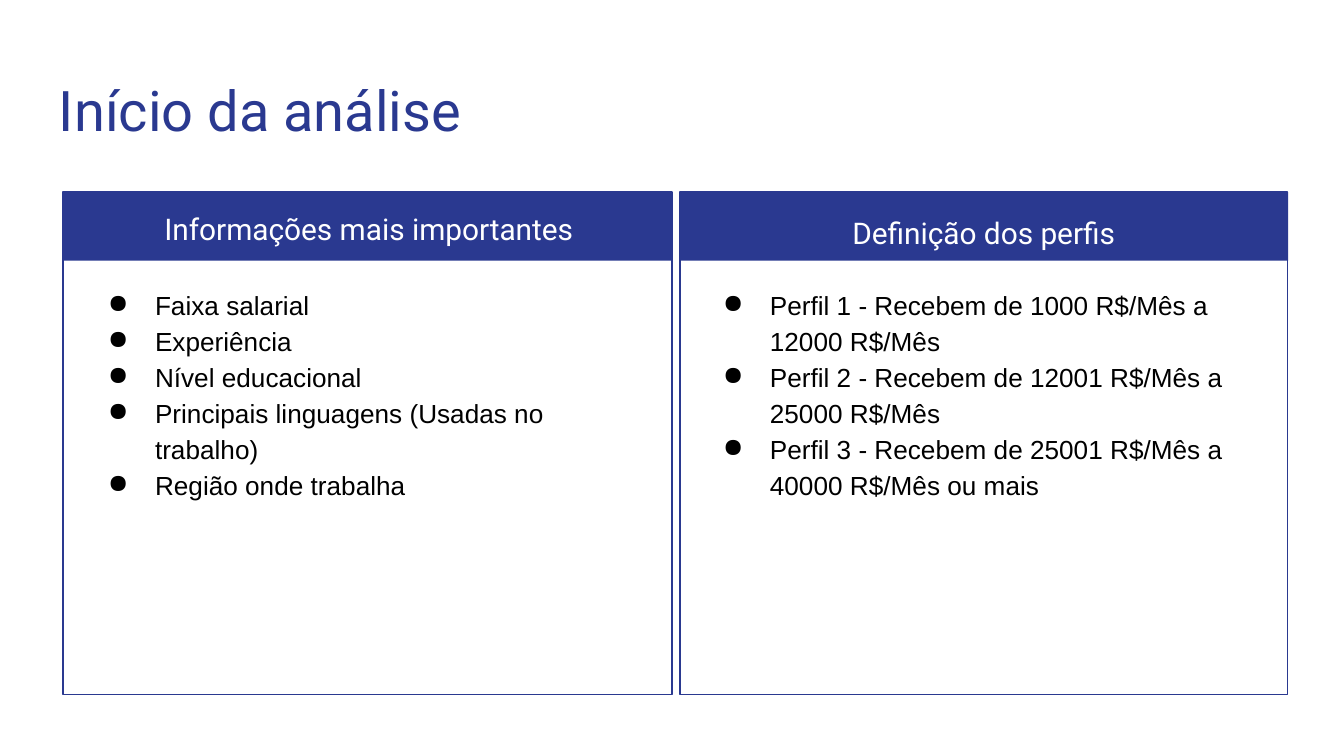
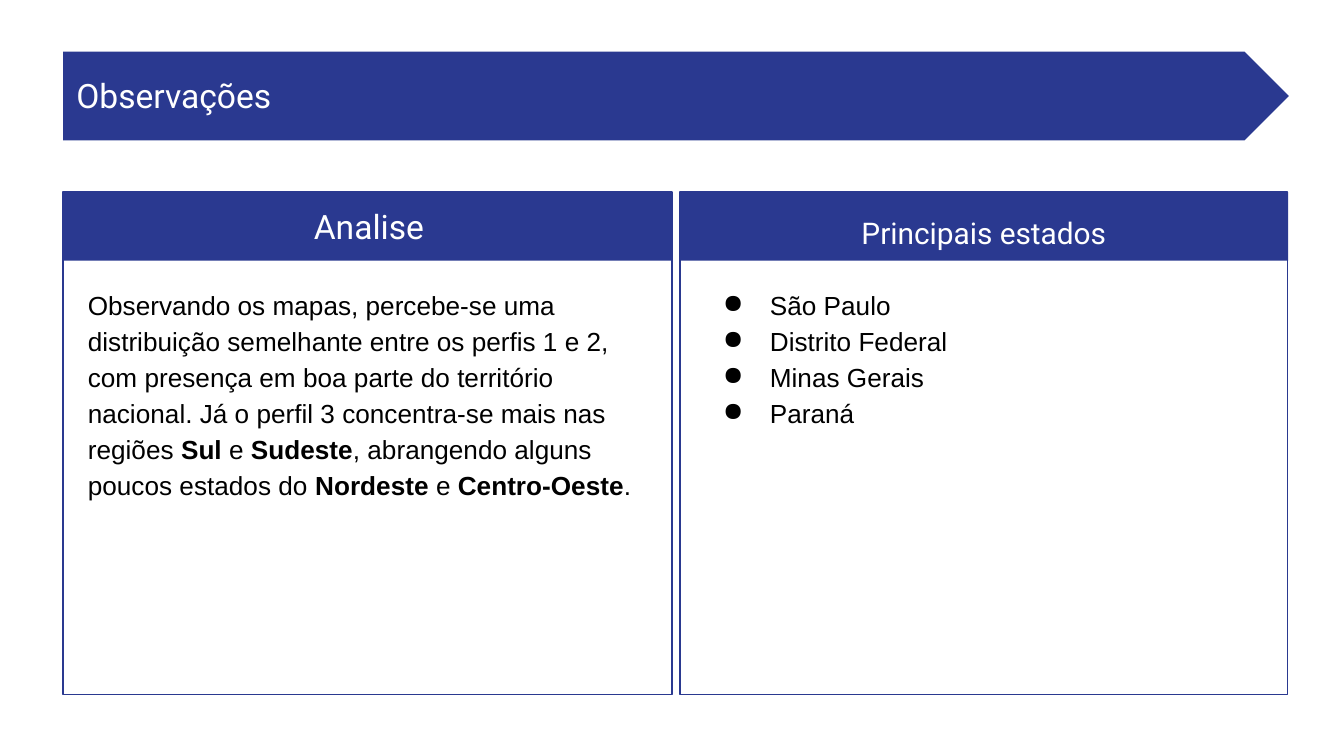
import pptx
import pptx.util
import pptx.dml.color
import pptx.enum.shapes
import pptx.enum.text
import pptx.oxml.ns
from lxml import etree

HUE = {"blue": "2A3990", "white": "FFFFFF", "black": "000000"}
KIND = pptx.enum.shapes.MSO_SHAPE
ALIGN = pptx.enum.text.PP_ALIGN
ANCHOR = pptx.enum.text.MSO_ANCHOR

deck = pptx.Presentation()
deck.slide_width = pptx.util.Inches(10)
deck.slide_height = pptx.util.Inches(5.625)
CELL = deck.slide_width / 100  # grid of 100 columns by 56.25 square rows


def block(page, kind, area, fill=None, line=None):
    """Draw a preset shape on the grid area (column, row, width, height)."""
    shape = page.shapes.add_shape(kind, *[round(n * CELL) for n in area])
    shape.shadow.inherit = False
    if fill:
        shape.fill.solid()
        shape.fill.fore_color.rgb = pptx.dml.color.RGBColor.from_string(HUE[fill])
    else:
        shape.fill.background()
    if line:
        shape.line.color.rgb = pptx.dml.color.RGBColor.from_string(HUE[line])
        shape.line.width = pptx.util.Pt(0.75)
    else:
        shape.line.fill.background()


def write(page, area, lines, size=14, face="Arial", hue="black", align=ALIGN.LEFT,
          anchor=ANCHOR.TOP, space=1.15, list=False):
    """Set one paragraph per line; words between ** marks are bold."""
    frame = page.shapes.add_textbox(*[round(n * CELL) for n in area]).text_frame
    frame.word_wrap = True
    frame.vertical_anchor = anchor
    frame.margin_left = frame.margin_right = round(CELL)
    frame.margin_top = frame.margin_bottom = round(CELL)
    for i, line in enumerate(lines):
        para = frame.add_paragraph() if i else frame.paragraphs[0]
        para.alignment = align
        para.line_spacing = space
        if list:
            props = para._p.get_or_add_pPr()
            props.set("marL", str(round(5 * CELL)))
            props.set("indent", str(round(-3.5 * CELL)))
            tint = etree.SubElement(props, pptx.oxml.ns.qn("a:buClr"))
            etree.SubElement(tint, pptx.oxml.ns.qn("a:srgbClr"), val=HUE["black"])
            etree.SubElement(props, pptx.oxml.ns.qn("a:buChar"), char="●")
        for j, part in enumerate(line.split("**")):
            run = para.add_run()
            run.text = part
            run.font.size = pptx.util.Pt(size)
            run.font.name = face
            run.font.bold = j % 2 == 1
            run.font.color.rgb = pptx.dml.color.RGBColor.from_string(HUE[hue])


# Each card: heading, heading size and spacing, body lines, bulleted or not
start = [
    ("Informações mais importantes", 16, 1.15,
     ["Faixa salarial", "Experiência", "Nível educacional",
      "Principais linguagens (Usadas no trabalho)", "Região onde trabalha"], True),
    ("Definição dos perfis", 16, 1.15,
     ["Perfil 1 - Recebem de 1000 R$/Mês a 12000 R$/Mês",
      "Perfil 2 - Recebem de 12001 R$/Mês a 25000 R$/Mês",
      "Perfil 3 - Recebem de 25001 R$/Mês a 40000 R$/Mês ou mais"], True),
]
notes = [
    ("Analise", 18, 1.0,
     ["Observando os mapas, percebe-se uma distribuição semelhante entre os "
      "perfis 1 e 2, com presença em boa parte do território nacional. Já o "
      "perfil 3 concentra-se mais nas regiões **Sul **e **Sudeste**, abrangendo "
      "alguns poucos estados do **Nordeste **e **Centro-Oeste**."], False),
    ("Principais estados", 16, 1.15,
     ["São Paulo", "Distrito Federal", "Minas Gerais", "Paraná"], True),
]

# Card columns: frame left, band left, width, text left, heading row
SLOTS = [(4.7, 4.7, 45.3, 5.55, 14.3), (50.6, 50.65, 45.2, 51.3, 14.6)]
TOP, BAND, TALL = 14.3, 5.1, 37.4

for cards in (start, notes):
    page = deck.slides.add_slide(deck.slide_layouts[6])
    if cards is start:
        write(page, (3.4, 4.6, 93.2, 6.6), ["Início da análise"],
              size=30, face="Roboto", hue="blue", space=1.0)
    else:
        block(page, KIND.PENTAGON, (4.7, 3.85, 91.2, 6.6), fill="blue")
        write(page, (4.7, 5.4, 24.7, 3.4), ["Observações"], size=18,
              face="Roboto", hue="white", anchor=ANCHOR.MIDDLE, space=1.0)
    for slot, card in zip(SLOTS, cards):
        left, edge, wide, text, row = slot
        head, size, space, lines, dots = card
        block(page, KIND.RECTANGLE, (edge, TOP, wide, BAND), fill="blue")
        block(page, KIND.RECTANGLE, (left, TOP, wide, TALL), line="blue")
        write(page, (text, row, 43.8, 5), [head], size=size, face="Roboto",
              hue="white", align=ALIGN.CENTER, space=space)
        write(page, (text, 20.2, 43.8, 30.6), lines, list=dots)

deck.save("out.pptx")
